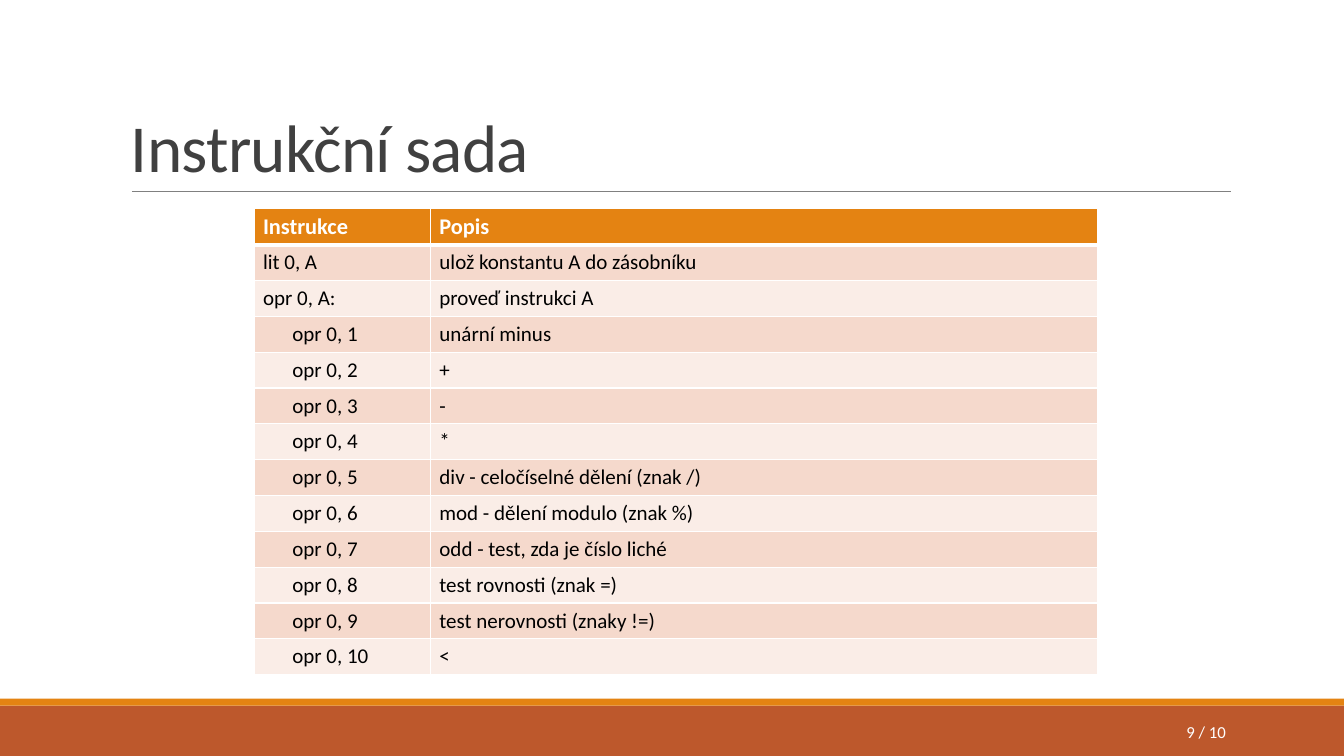
from lxml import etree
from pptx import Presentation
from pptx.dml.color import RGBColor
from pptx.enum import shapes, text
from pptx.oxml import ns
from pptx.util import Pt

HUES = {
    "rust": "BD582C", "orange": "E48312", "grey": "808080", "ink": "404040",
    "white": "FFFFFF", "black": "000000", "odd": "F5D9CC", "even": "FAEDE7",
}


def style(par, words, hue, **look):
    run = par.add_run()
    run.text = words
    run.font.name = "Calibri"
    run.font.color.rgb = RGBColor.from_string(HUES[hue])
    for key, val in look.items():
        setattr(run.font, key, val)
    return run


def edge(cell, side, width):
    line = etree.SubElement(cell._tc.get_or_add_tcPr(), ns.qn("a:ln" + side), w=str(Pt(width)))
    fill = etree.SubElement(line, ns.qn("a:solidFill"))
    etree.SubElement(fill, ns.qn("a:srgbClr"), val=HUES["white"])


deck = Presentation()
deck.slide_width, deck.slide_height = Pt(960), Pt(540)
slide = deck.slides.add_slide(deck.slide_layouts[6])

# Footer bands
for top, high, hue in ((504, 36, "rust"), (499, 5, "orange")):
    band = slide.shapes.add_shape(shapes.MSO_SHAPE.RECTANGLE, 0, Pt(top), Pt(960), Pt(high))
    band.shadow.inherit = False
    band.fill.solid()
    band.fill.fore_color.rgb = RGBColor.from_string(HUES[hue])
    band.line.fill.background()

# Rule below the title
rule = slide.shapes.add_connector(
    shapes.MSO_CONNECTOR.STRAIGHT, Pt(94.3), Pt(136.8), Pt(879), Pt(136.8))
rule.line.color.rgb = RGBColor.from_string(HUES["grey"])
rule.line.width = Pt(0.5)
etree.SubElement(rule._element.spPr, ns.qn("a:effectLst"))

# Title and page number
labels = (
    ("Instrukční sada", (86.4, 22.3, 792, 114.5), 48, "ink", -50,
     {"vertical_anchor": text.MSO_ANCHOR.BOTTOM}, {"line_spacing": 0.85}),
    ("9 / 10", (779.8, 508.3, 103, 28.8), 12, "white", 0,
     {"vertical_anchor": text.MSO_ANCHOR.MIDDLE}, {"alignment": text.PP_ALIGN.RIGHT}),
)
for words, place, size, hue, track, frame, form in labels:
    body = slide.shapes.add_textbox(*map(Pt, place)).text_frame
    body.word_wrap = True
    par = body.paragraphs[0]
    for thing, looks in ((body, frame), (par, form)):
        for key, val in looks.items():
            setattr(thing, key, val)
    run = style(par, words, hue, size=Pt(size))
    run.font._element.set("spc", str(track))

# Instruction table
ops = (
    "unární minus", "+", "-", "*", "div - celočíselné dělení (znak /)",
    "mod - dělení modulo (znak %)", "odd - test, zda je číslo liché",
    "test rovnosti (znak =)", "test nerovnosti (znaky !=)", "<",
)
rows = [
    ("Instrukce", "Popis"),
    ("lit 0, A", "ulož konstantu A do zásobníku"),
    ("opr 0, A:", "proveď instrukci A"),
]
rows += [(f"opr 0, {num}", note) for num, note in enumerate(ops, 1)]
high = 25.6
table = slide.shapes.add_table(
    len(rows), 2, Pt(181.4), Pt(149.2), Pt(602.6), Pt(high * len(rows))).table
for col, wide in zip(table.columns, (126, 476.6)):
    col.width = Pt(wide)

pads = {
    "margin_left": Pt(6.5), "margin_right": Pt(6.5),
    "margin_top": Pt(2), "margin_bottom": Pt(2),
    "vertical_anchor": text.MSO_ANCHOR.MIDDLE,
}
for r, row in enumerate(rows):
    table.rows[r].height = Pt(high)
    head = r == 0
    back = "orange" if head else ("even", "odd")[r % 2]
    for c, words in enumerate(row):
        cell = table.cell(r, c)
        for key, val in pads.items():
            setattr(cell, key, val)
        for side in "LRTB":
            thick = (head and side == "B") or (r == 1 and side == "T")
            edge(cell, side, 3 if thick else 1)
        cell.fill.solid()
        cell.fill.fore_color.rgb = RGBColor.from_string(HUES[back])
        par = cell.text_frame.paragraphs[0]
        style(par, words, "white" if head else "black", size=Pt(16 if head else 15), bold=head)
        # Numbered operations sit one step in
        if c == 0 and r > 2:
            props = par._p.get_or_add_pPr()
            props.set("marL", str(Pt(35.3)))
            props.set("indent", str(Pt(-14.4)))

deck.save("out.pptx")
